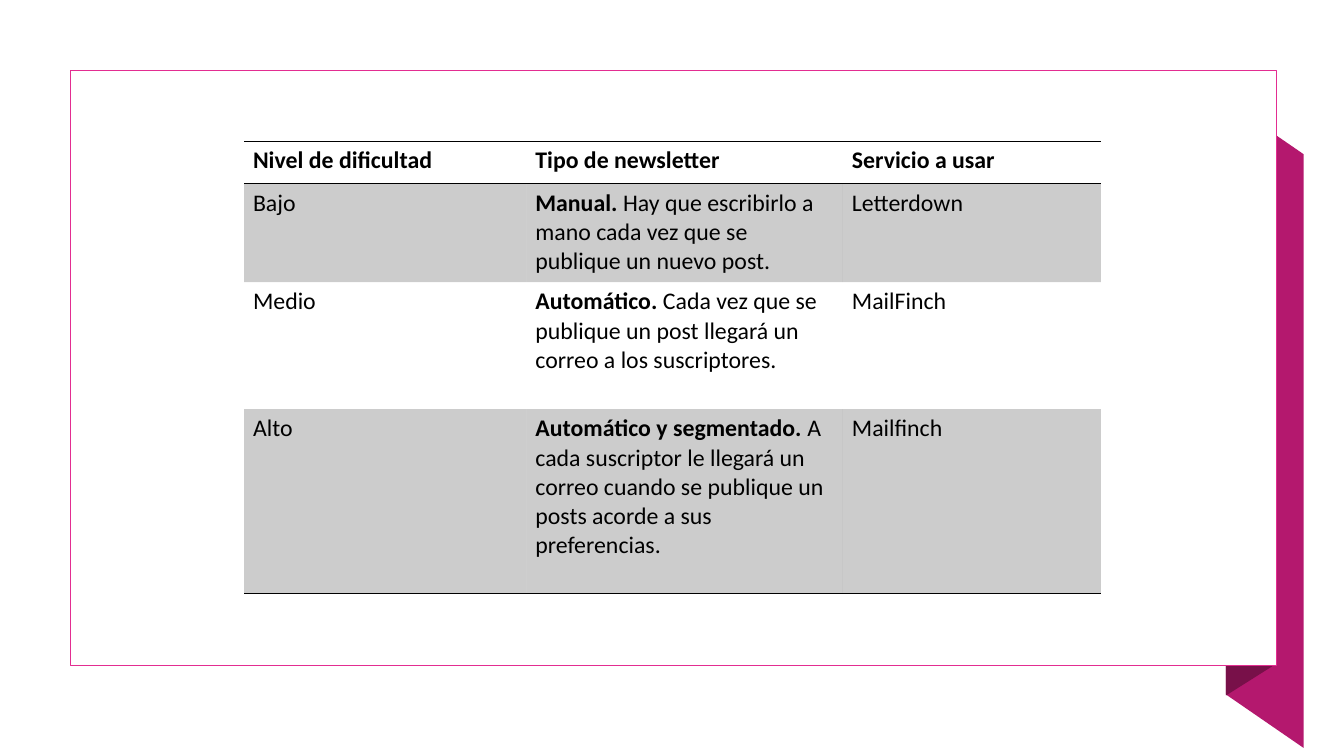
"""Build a slide with a table of newsletter types by difficulty."""
from dataclasses import dataclass

import pptx
import pptx.dml.color
import pptx.enum.shapes
import pptx.oxml.ns
import pptx.util
from lxml import etree

Inches = pptx.util.Inches
Pt = pptx.util.Pt
qn = pptx.oxml.ns.qn


@dataclass(frozen=True)
class Theme:
    font: str = "Calibri"
    size: float = 17
    rule: float = 1
    ink: str = "000000"
    paper: str = "FFFFFF"
    frame: str = "E32D91"
    ribbon: str = "B4186E"
    fold: str = "781049"
    band_alpha: int = 20


THEME = Theme()
COLS = [2.8, 3.14, 2.56]
ROWS = [0.42, 0.98, 1.26, 1.83]
HEADERS = ["Nivel de dificultad", "Tipo de newsletter", "Servicio a usar"]
LEVELS = [
    ("Bajo", "Manual. ",
     "Hay que escribirlo a mano cada vez que se publique un nuevo post.",
     "Letterdown"),
    ("Medio", "Automático. ",
     "Cada vez que se publique un post llegará un correo a los suscriptores.",
     "MailFinch"),
    ("Alto", "Automático y segmentado. ",
     "A cada suscriptor le llegará un correo cuando se publique un posts "
     "acorde a sus preferencias.",
     "Mailfinch"),
]


def rgb(color):
    return pptx.dml.color.RGBColor.from_string(color)


def add_text(p, text, *, bold=False, size=THEME.size, color=THEME.ink, font=THEME.font):
    r = p.add_run()
    r.text = text
    r.font.bold = bold
    r.font.size = Pt(size)
    r.font.name = font
    r.font.color.rgb = rgb(color)


def sub(parent, tag, **attrs):
    return etree.SubElement(parent, qn(tag), attrs)


def paint(sp, fill, line=None):
    sp.shadow.inherit = False
    sp.fill.solid()
    sp.fill.fore_color.rgb = rgb(fill)
    if line:
        sp.line.color.rgb = rgb(line)
        sp.line.width = Pt(THEME.rule)
    else:
        sp.line.fill.background()


def add_polygon(s, points, fill):
    corners = [(Inches(x), Inches(y)) for x, y in points]
    builder = s.shapes.build_freeform(*corners[0])
    builder.add_line_segments(corners[1:], close=True)
    paint(builder.convert_to_shape(), fill)


def add_frame(s, left, top, width, height):
    kind = pptx.enum.shapes.MSO_SHAPE.RECTANGLE
    sp = s.shapes.add_shape(kind, Inches(left), Inches(top), Inches(width), Inches(height))
    paint(sp, THEME.paper, THEME.frame)


def set_borders(cell, ruled):
    tcPr = cell._tc.get_or_add_tcPr()
    for side in "LRTB":
        ln = sub(tcPr, f"a:ln{side}", w=str(Pt(THEME.rule)))
        if side in ruled:
            sub(sub(ln, "a:solidFill"), "a:srgbClr", val=THEME.ink)
        else:
            sub(ln, "a:noFill")


def set_fill(cell, banded):
    if not banded:
        cell.fill.background()
        return
    cell.fill.solid()
    cell.fill.fore_color.rgb = rgb(THEME.ink)
    clr = cell._tc.tcPr.find(qn("a:solidFill")).find(qn("a:srgbClr"))
    sub(clr, "a:alpha", val=str(THEME.band_alpha * 1000))


def fill_cell(cell, runs, ruled, banded):
    cell.margin_left = cell.margin_right = Inches(0.09)
    cell.margin_top = cell.margin_bottom = Inches(0.05)
    set_borders(cell, ruled)
    set_fill(cell, banded)
    for text, bold in runs:
        add_text(cell.text_frame.paragraphs[0], text, bold=bold)


def add_levels_table(s, left, top):
    frame = s.shapes.add_table(len(ROWS), len(COLS), Inches(left), Inches(top),
                               Inches(sum(COLS)), Inches(sum(ROWS)))
    table = frame.table
    table.first_row = table.horz_banding = False
    for column, width in zip(table.columns, COLS):
        column.width = Inches(width)
    for row, height in zip(table.rows, ROWS):
        row.height = Inches(height)

    content = [[[(header, True)] for header in HEADERS]]
    for level, kind, detail, service in LEVELS:
        content.append([[(level, False)], [(kind, True), (detail, False)],
                        [(service, False)]])
    rules = {0: "TB", 1: "T", len(ROWS) - 1: "B"}
    for i, row in enumerate(content):
        for j, runs in enumerate(row):
            fill_cell(table.cell(i, j), runs, rules.get(i, ""), i % 2 == 1)


def main():
    prs = pptx.Presentation()
    prs.slide_width, prs.slide_height = Inches(13.33), Inches(7.5)
    s = prs.slides.add_slide(prs.slide_layouts[6])
    add_polygon(s, [(12.93, 7.42), (12.16, 6.89), (12.16, 1), (12.93, 1.53)], THEME.ribbon)
    add_polygon(s, [(12.62, 6.61), (12.16, 6.9), (12.16, 1), (12.62, 0.7)], THEME.fold)
    add_frame(s, 0.7, 0.7, 11.96, 5.9)
    add_levels_table(s, 2.42, 1.4)
    prs.save("out.pptx")


main()
